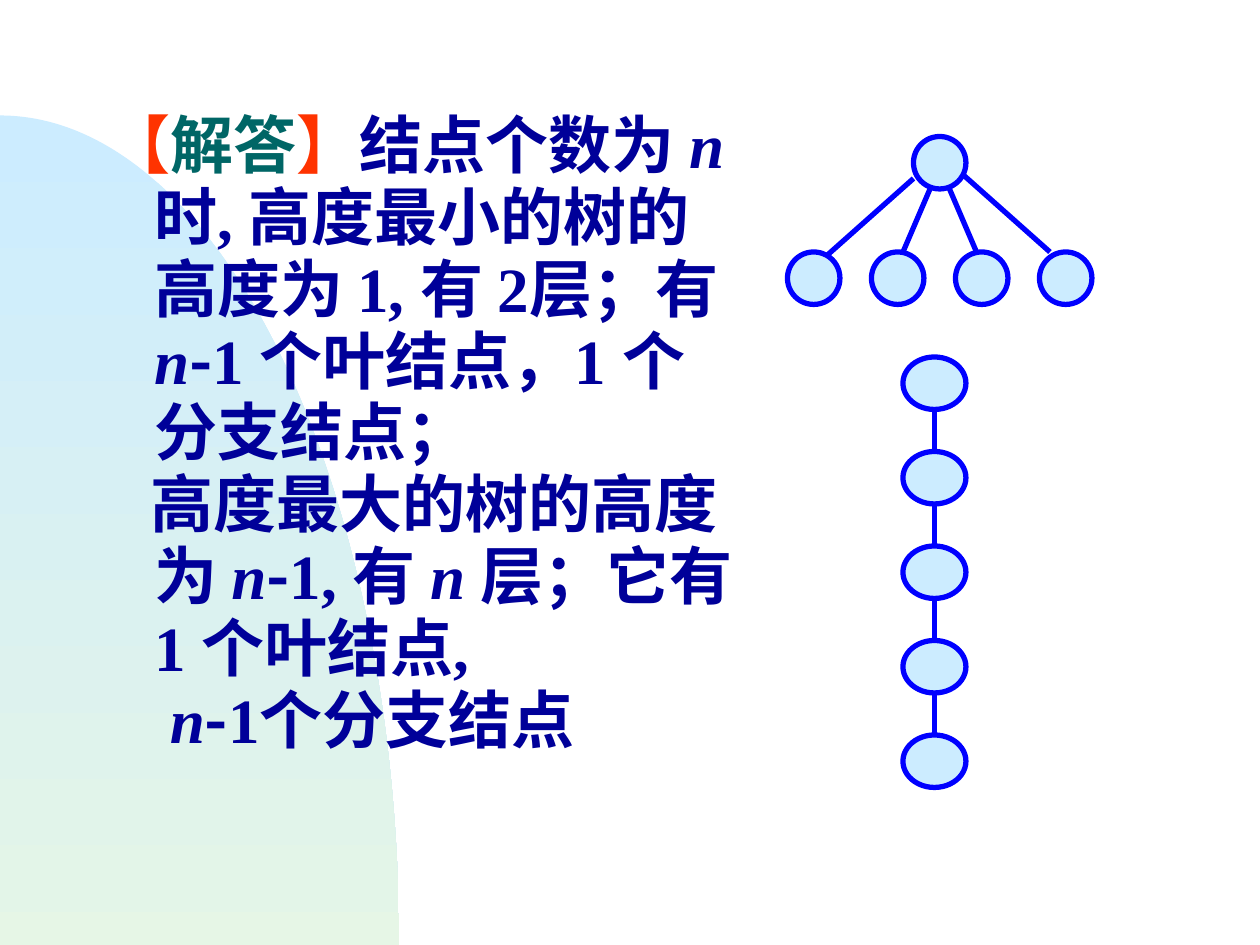
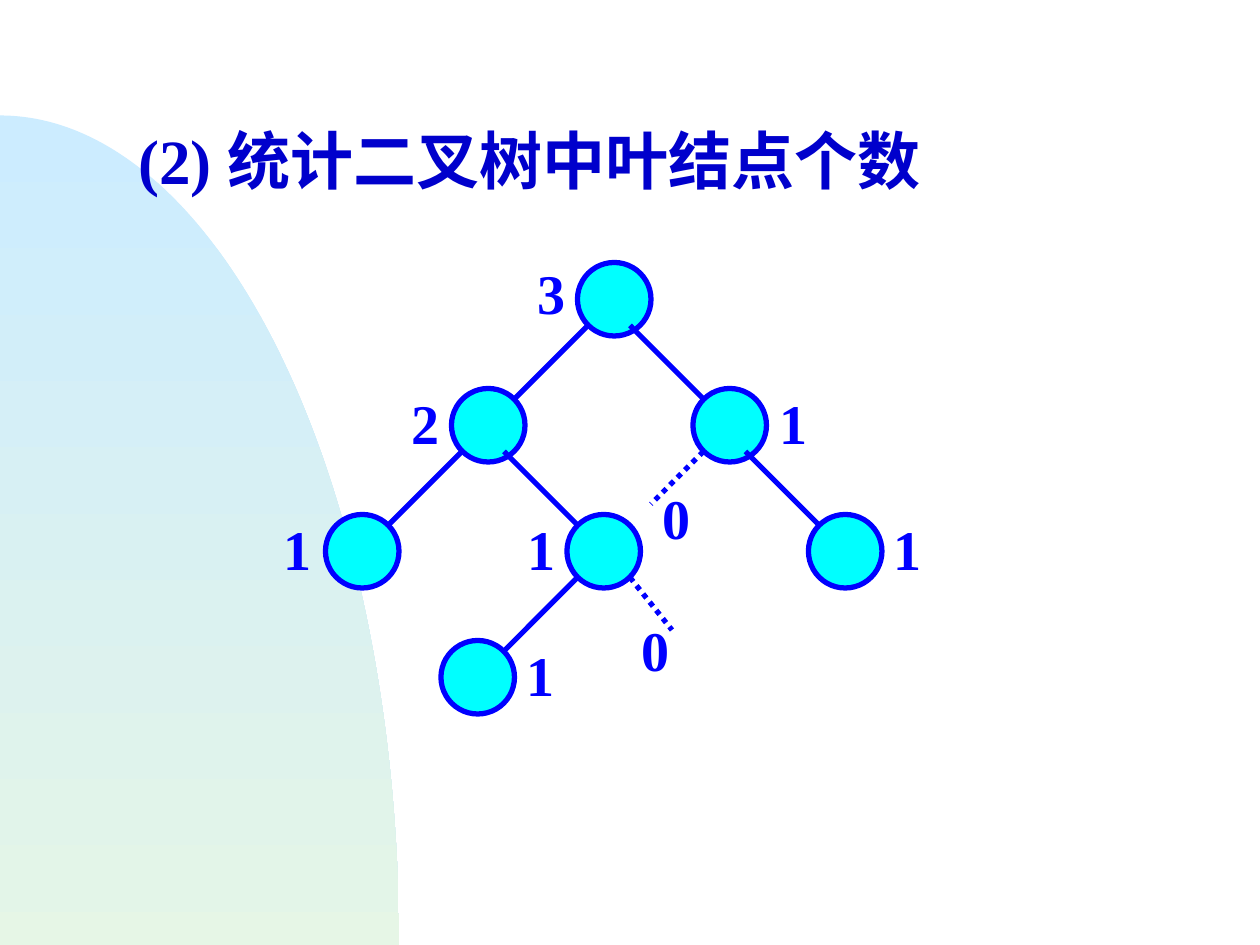
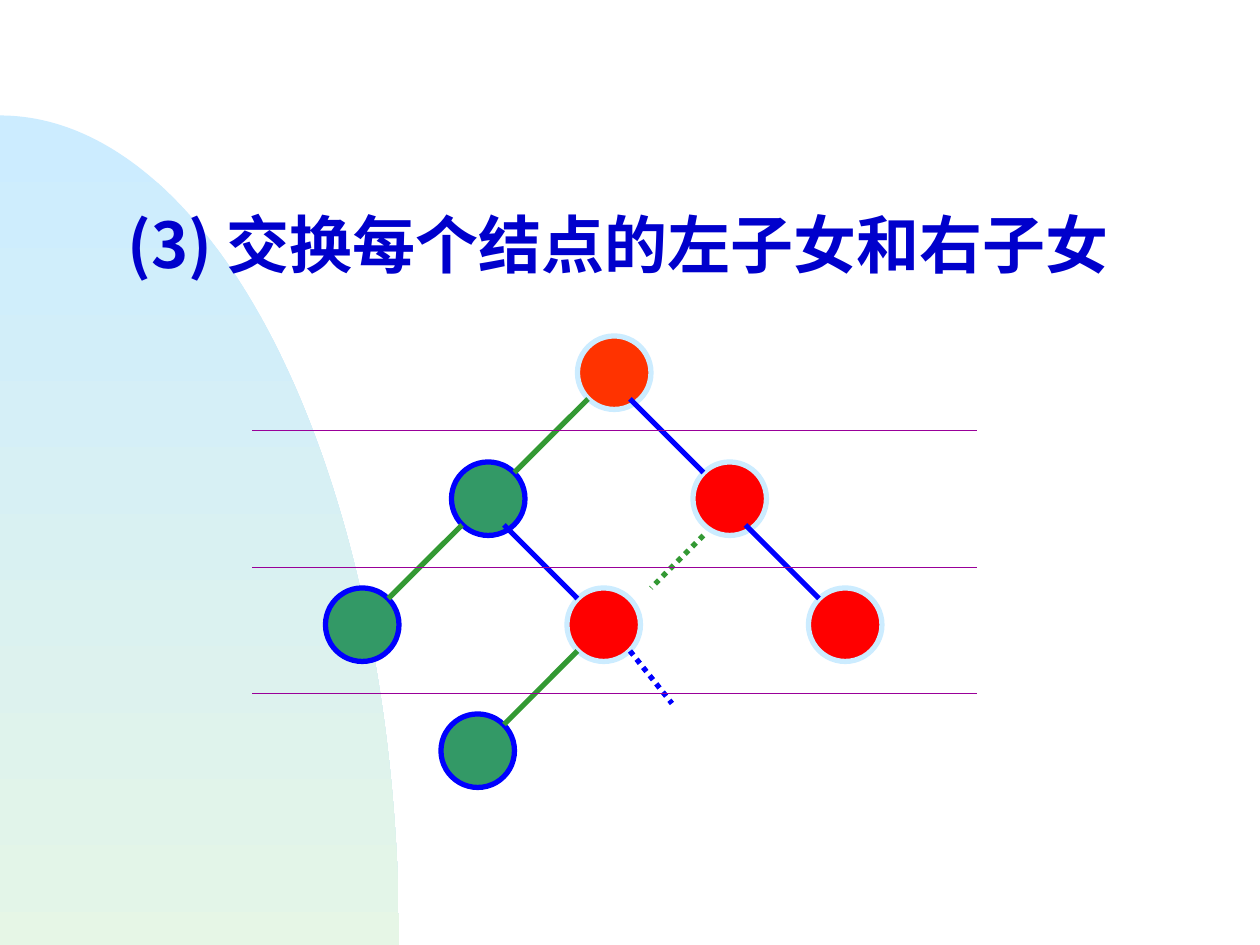
from lxml import etree
from pptx import Presentation
from pptx.dml.color import RGBColor
from pptx.enum import dml, shapes
from pptx.oxml import ns
from pptx.util import Pt

SERIF, SANS = "Times New Roman", "Noto Sans CJK SC"
PALE = RGBColor(0xCC, 0xEC, 0xFF)
CREAM = RGBColor(0xFF, 0xFF, 0xCC)
BLUE = RGBColor(0x00, 0x00, 0xFF)
TITLE_BLUE = RGBColor(0x00, 0x00, 0xCC)
NAVY = RGBColor(0x00, 0x00, 0x99)
TEAL = RGBColor(0x00, 0x66, 0x66)
ORANGE = RGBColor(0xFF, 0x33, 0x00)
RED = RGBColor(0xFF, 0x00, 0x00)
CYAN = RGBColor(0x00, 0xFF, 0xFF)
SEA = RGBColor(0x33, 0x99, 0x66)
GREEN = RGBColor(0x33, 0x99, 0x33)
PURPLE = RGBColor(0x99, 0x00, 0x99)


def add_text(s, x, y, w, h, paras, size=36, color=TITLE_BLUE, font=SERIF,
             left=27, spacing=None, wrap=True):
    tf = s.shapes.add_textbox(Pt(x), Pt(y), Pt(w), Pt(h)).text_frame
    tf.word_wrap = wrap
    for i, (indent, runs) in enumerate(paras):
        p = tf.paragraphs[0] if i == 0 else tf.add_paragraph()
        p.line_spacing = spacing
        pPr = p._p.get_or_add_pPr()
        pPr.set("marL", str(Pt(left)))
        pPr.set("indent", str(Pt(indent)))
        pPr.set("hangingPunct", "0")
        for content, fmt in runs:
            r = p.add_run()
            r.text = content
            r.font.size, r.font.bold = Pt(size), True
            r.font.italic = fmt.get("italic", False)
            r.font.color.rgb = fmt.get("color", color)
            r.font.name = fmt.get("font", font)
            ea = etree.SubElement(r._r.get_or_add_rPr(), ns.qn("a:ea"))
            ea.set("typeface", SANS)


def add_line(s, x1, y1, x2, y2, color=BLUE, width=3, dash=None):
    c = s.shapes.add_connector(shapes.MSO_CONNECTOR.STRAIGHT,
                               Pt(x1), Pt(y1), Pt(x2), Pt(y2))
    c._element.remove(c._element.find(ns.qn("p:style")))
    c.line.color.rgb = color
    if width:
        c.line.width = Pt(width)
    if dash:
        c.line.dash_style = dash
    etree.SubElement(c._element.spPr, ns.qn("a:effectLst"))


prs = Presentation()
prs.slide_width, prs.slide_height = Pt(720), Pt(540)
blank = prs.slide_layouts[6]
answer, leaves, swap = [prs.slides.add_slide(blank) for _ in range(3)]

sp = answer.shapes.add_shape(shapes.MSO_SHAPE.OVAL, Pt(-228), Pt(66), Pt(456), Pt(948))
sp.shadow.inherit = False
sp.line.fill.background()
sp.fill.gradient()
sp.fill.gradient_angle = 270
for stop, color in zip(sp.fill.gradient_stops, (PALE, CREAM)):
    stop.color.rgb = color
blank.shapes._spTree.append(sp._element)

plain, italic, sans = {}, {"italic": True}, {"font": SANS}
add_text(answer, 54, 60, 372, 402, [
    (-26.5, [("【", {"color": ORANGE}), ("解答", {"color": TEAL}),
             ("】", {"color": ORANGE}), ("结点个数为 ", plain), ("n ", italic),
             ("时, 高度最小的树的高度为 1, 有 2层；有 ", plain), ("n", italic),
             ("-", sans), ("1 个叶结点，1 个分支结点；", plain)]),
    (-2, [("高度最大的树的高度为 ", plain), ("n", italic), ("-", sans),
          ("1, 有 ", plain), ("n ", italic), ("层；它有 1 个叶结点,", plain)]),
    (9, [("n", italic), ("-", sans), ("1个分支结点", plain)]),
], color=NAVY, spacing=0.95)
add_text(leaves, 72, 66, 612, 402,
         [(-27, [("(2) 统计二叉树中叶结点个数", plain)])])
add_text(swap, 66, 114, 612, 360,
         [(-27, [("(3) 交换每个结点的左子女和右子女", plain)])], font=SANS)

for fan in [(522, 102, 468, 150), (534, 102, 516, 144),
            (540, 102, 558, 144), (546, 96, 600, 144)]:
    add_line(answer, *fan)
for i in range(4):
    add_line(answer, 534, 234 + 54 * i, 534, 258 + 54 * i)

nodes = [(answer, 522, 78, 30, 30, PALE, BLUE)]
nodes += [(answer, 450 + 48 * i, 144, 30, 30, PALE, BLUE) for i in range(4)]
nodes += [(answer, 516, 204 + 54 * i, 36, 30, PALE, BLUE) for i in range(5)]

tree = [(330, 0, ORANGE, PALE), (258, 72, SEA, BLUE), (396, 72, RED, PALE),
        (186, 144, SEA, BLUE), (324, 144, RED, PALE), (462, 144, RED, PALE),
        (252, 216, SEA, BLUE)]
for x, y, fill, border in tree:
    nodes.append((leaves, x, 150 + y, 42, 42, CYAN, BLUE))
    nodes.append((swap, x, 192 + y, 42, 42, fill, border))

for s, x, y, w, h, fill, border in nodes:
    sp = s.shapes.add_shape(shapes.MSO_SHAPE.OVAL, Pt(x), Pt(y), Pt(w), Pt(h))
    sp.shadow.inherit = False
    sp.fill.solid()
    sp.fill.fore_color.rgb = fill
    sp.line.color.rgb, sp.line.width = border, Pt(3)

left_edges = [(0, 1), (1, 3), (4, 6)]
right_edges = [(0, 2), (1, 4), (2, 5)]
dots = dml.MSO_LINE.ROUND_DOT
for s, top, left_color, gap_y in [(leaves, 150, BLUE, 108), (swap, 192, GREEN, 114)]:
    for edges, start, end, color in [(left_edges, 6, 36, left_color),
                                     (right_edges, 30, 6, BLUE)]:
        for parent, child in edges:
            px, py = tree[parent][:2]
            cx, cy = tree[child][:2]
            add_line(s, px + start, top + py + 36, cx + end, top + cy + 6, color)
    add_line(s, 402, top + gap_y, 372, top + gap_y + 30, left_color, dash=dots)
    add_line(s, 360, top + 180, 384, top + 210, dash=dots)

counts = [("3", 300, 144), ("2", 228, 218.5), ("1", 438.5, 218.5),
          ("1", 155, 290.5), ("1", 294.5, 290.5), ("1", 503.5, 290.5),
          ("1", 294, 362.5), ("0", 371.5, 272.5), ("0", 359.5, 348)]
for count, x, y in counts:
    add_text(leaves, x, y, 30, 46, [(0, [(count, plain)])],
             size=32, color=BLUE, left=0, wrap=False)

for y in (246, 324, 396):
    add_line(swap, 144, y, 558, y, PURPLE, width=None)

prs.save("out.pptx")
